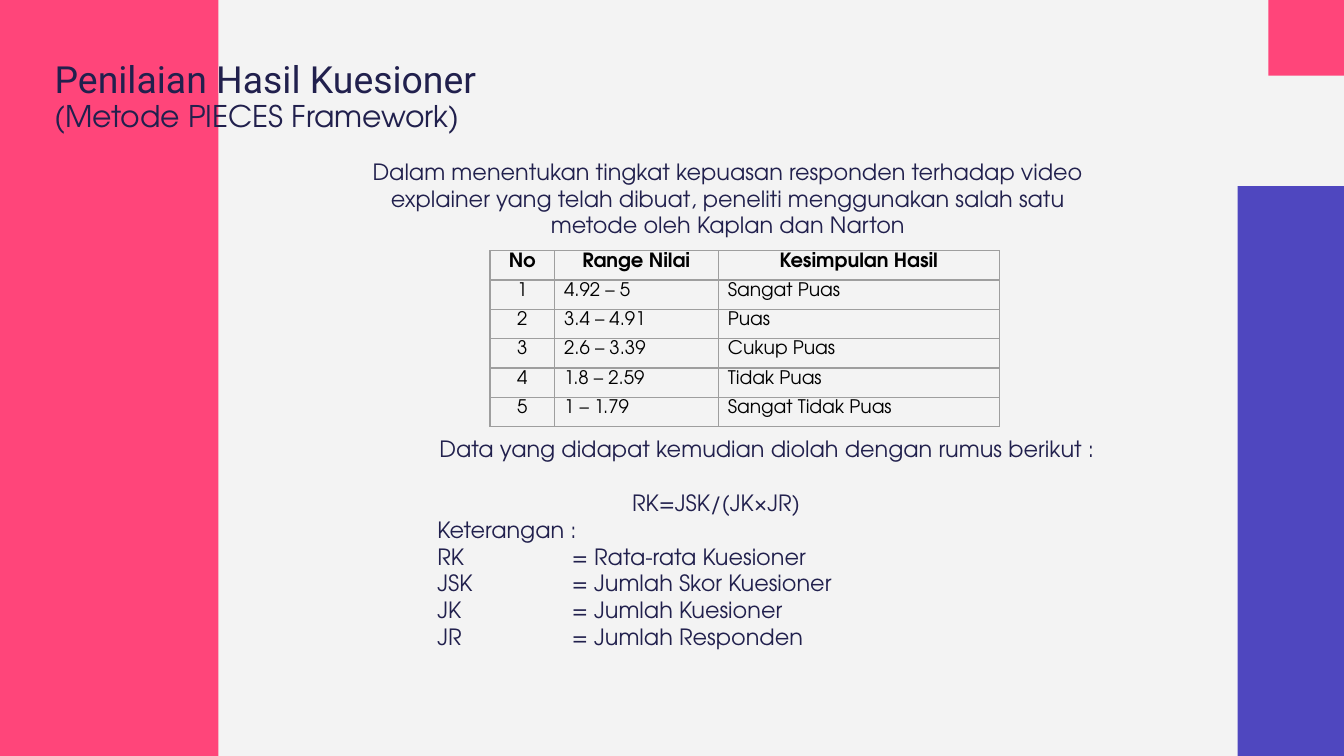
from pptx import Presentation
from pptx.dml.color import RGBColor
from pptx.enum.shapes import MSO_SHAPE as Shape
from pptx.enum.text import MSO_ANCHOR as Anchor, MSO_AUTO_SIZE as AutoSize, PP_ALIGN as Align
from pptx.oxml import parse_xml
from pptx.oxml.ns import nsdecls
from pptx.util import Pt

PX = 9525  # EMU per px, 96 px to the inch
FONT = "TeX Gyre Adventor"
COLORS = {
    "background": "F3F3F3", "pink": "FF457A", "violet": "4F47BF",
    "navy": "21204D", "black": "000000", "border": "9E9E9E",
}


def px(*lengths):
    return [length * PX for length in lengths]


def add_span(para, text, size, color="navy", font=FONT, bold=False):
    span = para.add_run()
    span.text = text
    span.font.name = font
    span.font.size = Pt(size)
    span.font.bold = bold
    span.font.color.rgb = RGBColor.from_string(COLORS[color])


deck = Presentation()
deck.slide_width, deck.slide_height = px(960, 540)
page = deck.slides.add_slide(deck.slide_layouts[5])
page.background.fill.solid()
page.background.fill.fore_color.rgb = RGBColor.from_string(COLORS["background"])

# Colour blocks
for color, area in [
    ("violet", (884, 133, 76, 407)),
    ("pink", (906, 0, 54, 54)),
    ("pink", (-11, -9, 167, 561)),
]:
    block = page.shapes.add_shape(Shape.RECTANGLE, *px(*area))
    block.shadow.inherit = False
    block.fill.solid()
    block.fill.fore_color.rgb = RGBColor.from_string(COLORS[color])
    block.line.fill.background()

# Score table
scores = [
    ("No", "Range Nilai", "Kesimpulan Hasil"),
    ("1", "4.92 – 5", "Sangat Puas"),
    ("2", "3.4 – 4.91", "Puas"),
    ("3", "2.6 – 3.39", "Cukup Puas"),
    ("4", "1.8 – 2.59", "Tidak Puas"),
    ("5", "1 – 1.79", "Sangat Tidak Puas"),
]
widths = px(46, 117, 201)
row_height = 21 * PX
table = page.shapes.add_table(
    len(scores), len(widths), *px(350, 179), sum(widths), row_height * len(scores)
).table
table.first_row = table.horz_banding = False
for column, width in zip(table.columns, widths):
    column.width = width
for r, score in enumerate(scores):
    table.rows[r].height = row_height
    for c, text in enumerate(score):
        cell = table.cell(r, c)
        cell.margin_left = cell.margin_right = 7 * PX
        cell.margin_top = cell.margin_bottom = 0
        properties = cell._tc.get_or_add_tcPr()
        for side in "LRTB":
            properties.append(parse_xml(
                f'<a:ln{side} {nsdecls("a")} w="{PX}"><a:solidFill>'
                f'<a:srgbClr val="{COLORS["border"]}"/></a:solidFill></a:ln{side}>'))
        cell.fill.background()
        para = cell.text_frame.paragraphs[0]
        para.alignment = Align.CENTER if r == 0 or c == 0 else Align.JUSTIFY
        para.line_spacing = 1.15
        para.space_after = Pt(2)
        add_span(para, text, 10.5 if r == 0 else 10, "black", bold=r == 0)

# Introduction
intro = page.shapes.add_textbox(*px(247, 108, 546, 68)).text_frame
intro.word_wrap = True
intro.paragraphs[0].alignment = Align.CENTER
add_span(
    intro.paragraphs[0],
    "Dalam menentukan tingkat kepuasan responden terhadap video explainer yang telah "
    "dibuat, peneliti menggunakan salah satu metode oleh Kaplan dan Narton",
    12,
)

# Formula and its legend
formula = page.shapes.add_textbox(*px(303, 306, 490, 165)).text_frame
formula.word_wrap = True
para = formula.paragraphs[0]
para.alignment = Align.CENTER
add_span(para, "Data yang didapat kemudian diolah dengan rumus berikut :", 12)

para = formula.add_paragraph()
para.space_before = Pt(14.5)
para._p.get_or_add_pPr().set("marL", str(139 * PX))
add_span(para, "RK=JSK/(JK×JR)", 12)

add_span(formula.add_paragraph(), "Keterangan :", 12)
for symbol, meaning in [
    ("RK", "Rata-rata Kuesioner"),
    ("JSK", "Jumlah Skor Kuesioner"),
    ("JK", "Jumlah Kuesioner"),
    ("JR", "Jumlah Responden"),
]:
    para = formula.add_paragraph()
    para._p.get_or_add_pPr().append(parse_xml(
        f'<a:tabLst {nsdecls("a")}><a:tab pos="{96 * PX}" algn="l"/></a:tabLst>'))
    add_span(para, f"{symbol}\t= {meaning}", 12)

# Title, brought in front of the pink block
title = page.shapes.title
title.left, title.top, title.width, title.height = px(32, 36, 396, 67)
title.element.getparent().append(title.element)
frame = title.text_frame
frame.word_wrap = True
frame.auto_size = AutoSize.NONE
frame.vertical_anchor = Anchor.MIDDLE
frame.margin_left = frame.margin_right = 7 * PX
frame.margin_top = frame.margin_bottom = 4 * PX
heading, subheading = frame.paragraphs[0], frame.add_paragraph()
for para, text, size, font in [
    (heading, "Penilaian Hasil Kuesioner", 20, "Roboto"),
    (subheading, "(Metode PIECES Framework)", 16, FONT),
]:
    para.alignment = Align.LEFT
    para.line_spacing = 0.9
    para.space_before = Pt(0)
    add_span(para, text, size, font=font)

deck.save("out.pptx")
